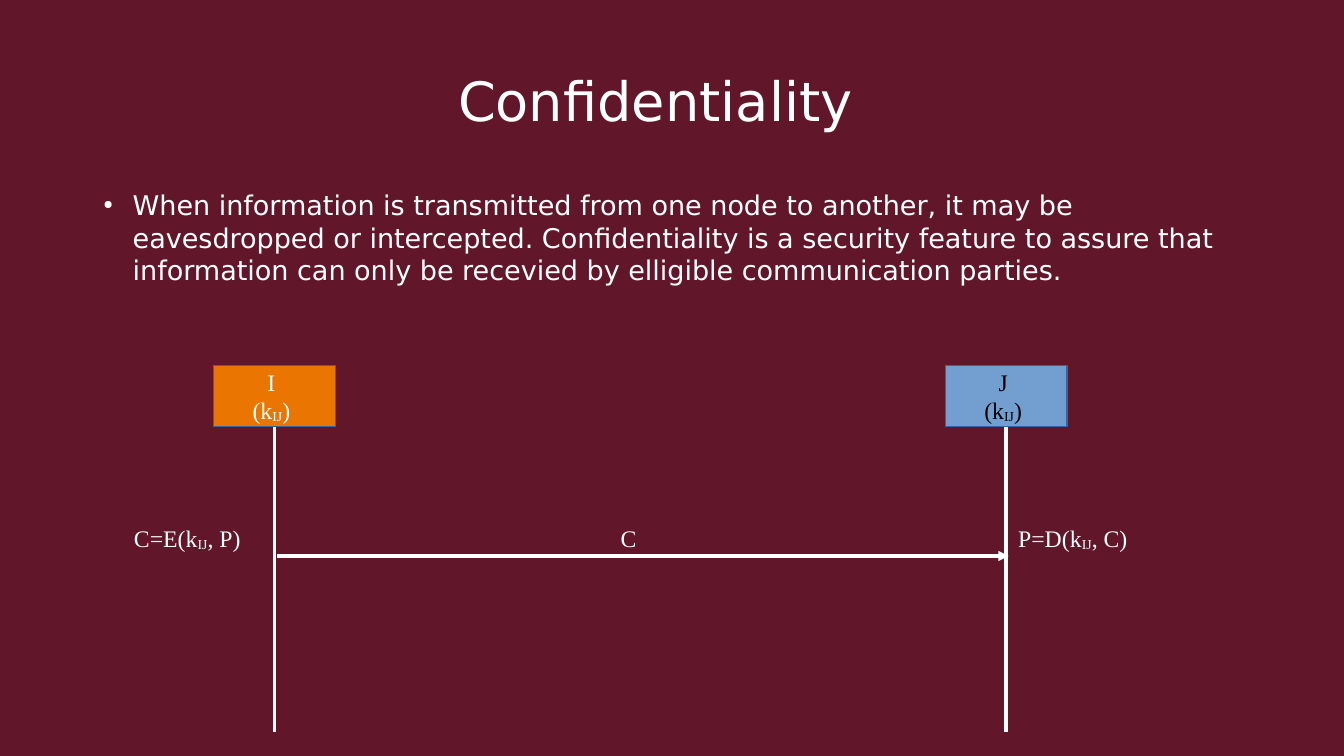
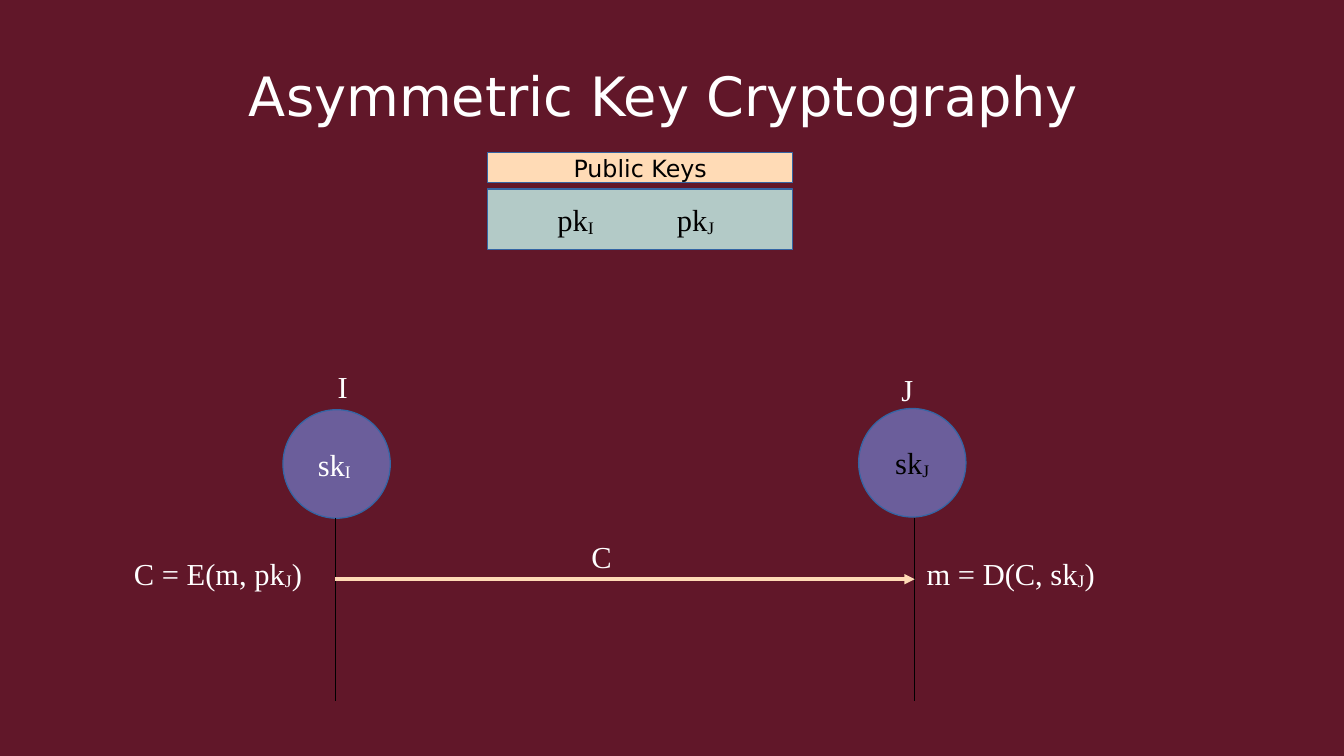
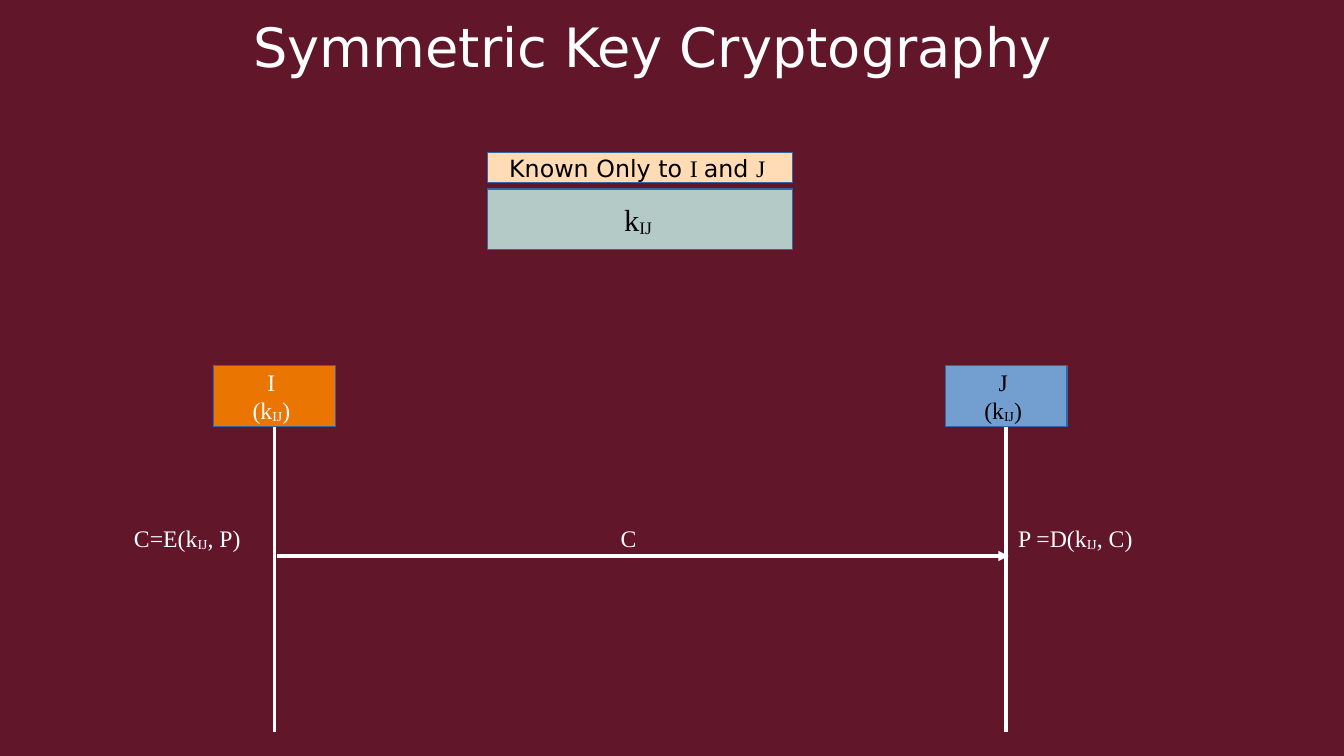
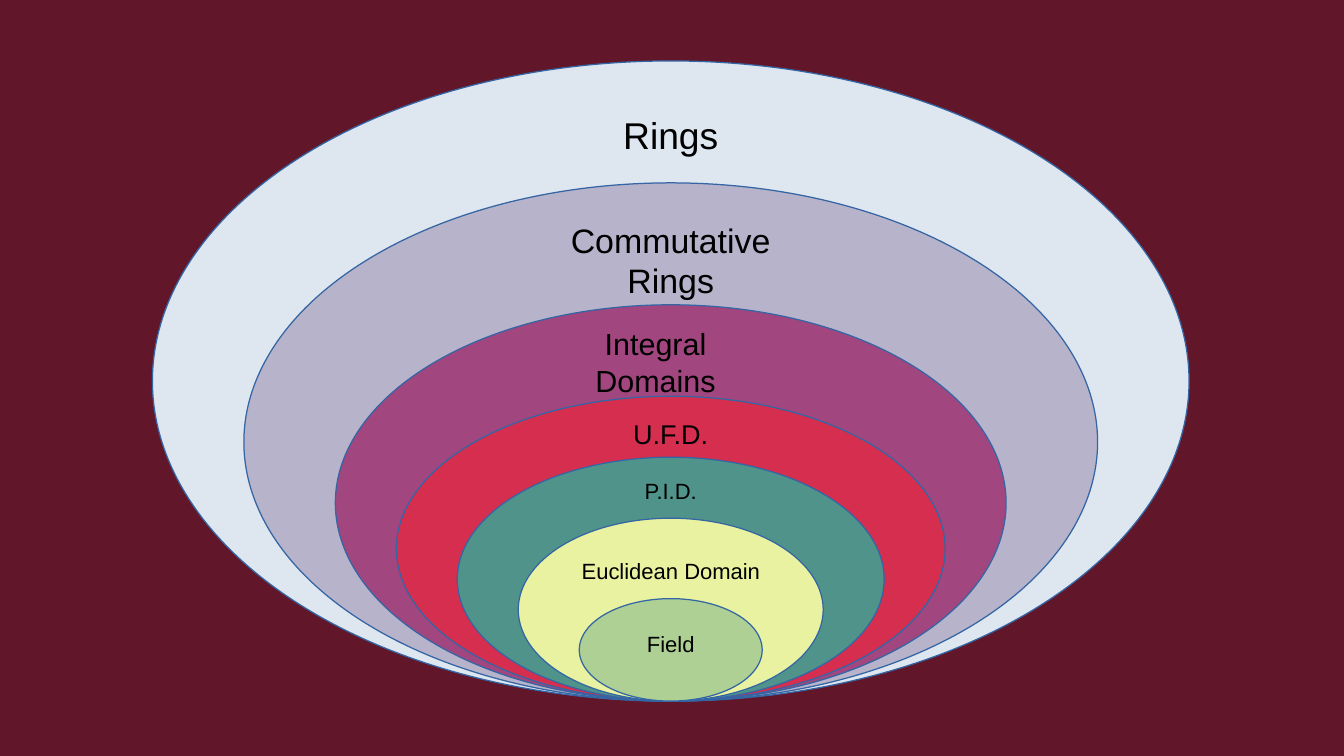
import dataclasses
from typing import Optional

import pptx
import pptx.dml.color
import pptx.enum.shapes
import pptx.enum.text
import pptx.oxml.ns
import pptx.oxml.xmlchemy
import pptx.util
from lxml import etree

EMU_PER_PX = 9144
SLIDE_WIDTH, SLIDE_HEIGHT = 1102, 620
SANS, SERIF, ARIAL = "DejaVu Sans", "Times New Roman", "Arial"
COLORS = {
    "background": "611729",
    "white": "FFFFFF",
    "black": "000000",
    "outline": "3465A4",
    "orange": "EA7500",
    "blue": "729FCF",
    "peach": "FFDBB6",
    "sage": "B3CAC7",
    "violet": "6B5E9B",
    "mist": "DEE6EF",
    "lavender": "B7B3CA",
    "plum": "A1467E",
    "red": "D62E4E",
    "teal": "50938A",
    "lemon": "E8F2A1",
    "green": "AFD095",
}
ALIGN = pptx.enum.text.PP_ALIGN
SHAPES = pptx.enum.shapes.MSO_SHAPE


@dataclasses.dataclass(frozen=True)
class Box:
    left: int
    top: int
    width: int
    height: int

    def emu(self) -> list[int]:
        return [px(length) for length in dataclasses.astuple(self)]


@dataclasses.dataclass(frozen=True)
class TextStyle:
    size: int
    font: str = SERIF
    color: str = "white"
    align: ALIGN = ALIGN.LEFT
    accent_font: Optional[str] = None


@dataclasses.dataclass(frozen=True)
class Party:
    name: str
    left: int
    fill: str
    text_color: str


@dataclasses.dataclass(frozen=True)
class Ring:
    label: str
    width: int
    height: int
    fill: str
    size: int
    label_box: Box


TITLE = TextStyle(32, SANS, align=ALIGN.CENTER)
BODY = TextStyle(16, SANS)
SMALL_FORMULA = TextStyle(14)
FORMULA = TextStyle(18)
CENTERED_FORMULA = TextStyle(18, align=ALIGN.CENTER)
KEY_HEADER = TextStyle(14, SANS, "black", ALIGN.CENTER, SERIF)
KEY_LIST = TextStyle(18, color="black")
KEY_VALUE = TextStyle(18, color="black", align=ALIGN.CENTER)

PARTIES = [
    Party("I", 175, "orange", "white"),
    Party("J", 775, "blue", "black"),
]
RINGS = [
    Ring("Rings", 850, 525, "mist", 22, Box(500, 87, 100, 44)),
    Ring("Commutative Rings", 700, 425, "lavender", 20, Box(450, 175, 200, 72)),
    Ring("Integral Domains", 550, 325, "plum", 18, Box(475, 262, 125, 66)),
    Ring("U.F.D.", 450, 250, "red", 16, Box(500, 337, 100, 38)),
    Ring("P.I.D.", 350, 200, "teal", 13, Box(500, 387, 100, 38)),
    Ring("Euclidean Domain", 250, 150, "lemon", 13, Box(450, 452, 200, 30)),
    Ring("Field", 150, 84, "green", 13, Box(500, 512, 100, 38)),
]
RING_CENTER, RING_BOTTOM = 550, 575


def px(length: int) -> int:
    return pptx.util.Emu(length * EMU_PER_PX)


def rgb(name: str) -> pptx.dml.color.RGBColor:
    return pptx.dml.color.RGBColor.from_string(COLORS[name])


def add_element(parent: etree._Element, tag: str, **attributes: str) -> etree._Element:
    return etree.SubElement(parent, pptx.oxml.ns.qn(tag), attributes)


def write_text(frame, text: str, style: TextStyle) -> None:
    frame.word_wrap = True
    frame.text = text.replace("_", "")
    for paragraph, line in zip(frame.paragraphs, text.split("\n")):
        paragraph.text = ""
        paragraph.alignment = style.align
        for index, part in enumerate(line.split("_")):
            if not part:
                continue
            accented = index % 2 == 1
            run = paragraph.add_run()
            run.text = part
            run.font.size = pptx.util.Pt(style.size)
            run.font.name = style.font
            run.font.color.rgb = rgb(style.color)
            if accented and style.accent_font:
                run.font.name = style.accent_font
            elif accented:
                run.font._element.set("baseline", "-8000")


def add_text(slide, box: Box, text: str, style: TextStyle):
    frame = slide.shapes.add_textbox(*box.emu()).text_frame
    write_text(frame, text, style)
    return frame


def add_title(slide, left: int, top: int, text: str) -> None:
    add_text(slide, Box(left, top, 875, 62), text, TITLE)


def add_filled(slide, kind: SHAPES, box: Box, fill: str):
    shape = slide.shapes.add_shape(kind, *box.emu())
    shape.shadow.inherit = False
    shape.fill.solid()
    shape.fill.fore_color.rgb = rgb(fill)
    shape.line.color.rgb = rgb("outline")
    shape.line.width = 0
    shape.text_frame.vertical_anchor = pptx.enum.text.MSO_ANCHOR.MIDDLE
    return shape


def add_line(slide, start: tuple[int, int], end: tuple[int, int], color: str,
             width: float = 0, arrow: bool = False):
    connector = slide.shapes.add_connector(
        pptx.enum.shapes.MSO_CONNECTOR.STRAIGHT,
        *[px(length) for length in (*start, *end)],
    )
    connector.line.color.rgb = rgb(color)
    connector.line.width = pptx.util.Pt(width)
    if arrow:
        add_element(connector.line._get_or_add_ln(), "a:tailEnd", type="triangle")
    add_element(connector._element.spPr, "a:effectLst")
    return connector


def add_bullet(paragraph) -> None:
    properties = paragraph._p.get_or_add_pPr()
    properties.set("marL", str(px(24)))
    properties.set("indent", str(px(-24)))
    color = add_element(properties, "a:buClr")
    add_element(color, "a:srgbClr", val=COLORS["white"])
    add_element(properties, "a:buSzPct", val="45000")
    add_element(properties, "a:buChar", char="●")


def add_key_panel(slide, header: str):
    header_shape = add_filled(slide, SHAPES.RECTANGLE, Box(400, 125, 250, 25), "peach")
    write_text(header_shape.text_frame, header, KEY_HEADER)
    return add_filled(slide, SHAPES.RECTANGLE, Box(400, 155, 250, 50), "sage").text_frame


def add_symmetric_exchange(slide, decryption: str) -> None:
    for party in PARTIES:
        shape = add_filled(slide, SHAPES.RECTANGLE, Box(party.left, 300, 100, 50), party.fill)
        style = TextStyle(14, color=party.text_color, align=ALIGN.CENTER)
        write_text(shape.text_frame, f"{party.name} \n(k_IJ_) ", style)
        middle = party.left + 50
        lifeline = add_line(slide, (middle, 350), (middle, 600), "white")
        lifeline.begin_connect(shape, 2)
    add_line(slide, (227, 456), (827, 456), "white", arrow=True)
    for left, label in ((100, "C=E(k_IJ_, P)"), (499, "C"), (825, decryption)):
        add_text(slide, Box(left, 425, 125, 36), label, SMALL_FORMULA)


def build_confidentiality(slide) -> None:
    add_title(slide, 100, 50, "Confidentiality")
    frame = add_text(
        slide, Box(75, 150, 950, 90),
        "When information is transmitted from one node to another, it may be "
        "eavesdropped or intercepted. Confidentiality is a security feature to "
        "assure that information can only be recevied by elligible "
        "communication parties.",
        BODY,
    )
    add_bullet(frame.paragraphs[0])
    add_symmetric_exchange(slide, "P=D(k_IJ_, C)")


def build_asymmetric(slide) -> None:
    add_title(slide, 107, 46, "Asymmetric Key Cryptography")
    keys = add_key_panel(slide, "Public Keys")
    keys.margin_left = px(57)
    write_text(keys, "pk_I_\tpk_J_", KEY_LIST)
    tabs = add_element(keys.paragraphs[0]._p.get_or_add_pPr(), "a:tabLst")
    add_element(tabs, "a:tab", pos=str(px(98)), algn="l")

    for name, left, top, lifeline, secret, color in (
        ("I", 232, 336, 275, "sk_I _", "white"),
        ("J", 704, 335, 750, "sk_J_", "black"),
    ):
        circle = add_filled(slide, SHAPES.OVAL, Box(left, top, 88, 89), "violet")
        write_text(circle.text_frame, secret,
                   TextStyle(18, color=color, align=ALIGN.CENTER))
        add_line(slide, (lifeline, 425), (lifeline, 575), "black", 0.79)
    add_text(slide, Box(262, 297, 38, 44), "I", CENTERED_FORMULA)
    add_text(slide, Box(725, 299, 38, 44), "J", CENTERED_FORMULA)
    add_line(slide, (275, 475), (750, 475), "peach", arrow=True)
    add_text(slide, Box(100, 450, 175, 50), "C = E(m, pk_J_)", FORMULA)
    add_text(slide, Box(475, 436, 50, 44), "C", FORMULA)
    add_text(slide, Box(750, 450, 175, 50), "m = D(C, sk_J_)", FORMULA)


def build_symmetric(slide) -> None:
    add_title(slide, 98, 6, "Symmetric Key Cryptography")
    add_symmetric_exchange(slide, "P =D(k_IJ_, C)")
    key = add_key_panel(slide, "Known Only to _I _and _J _")
    write_text(key, "k_IJ _", KEY_VALUE)


def build_rings(slide) -> None:
    for ring in RINGS:
        box = Box(RING_CENTER - ring.width // 2, RING_BOTTOM - ring.height,
                  ring.width, ring.height)
        add_filled(slide, SHAPES.OVAL, box, ring.fill)
    for ring in RINGS:
        style = TextStyle(ring.size, ARIAL, "black", ALIGN.CENTER)
        add_text(slide, ring.label_box, ring.label, style)


def main() -> None:
    presentation = pptx.Presentation()
    presentation.slide_width = px(SLIDE_WIDTH)
    presentation.slide_height = px(SLIDE_HEIGHT)
    background = presentation.slide_master.background.fill
    background.solid()
    background.fore_color.rgb = rgb("background")
    for build in (build_confidentiality, build_asymmetric, build_symmetric, build_rings):
        build(presentation.slides.add_slide(presentation.slide_layouts[6]))
    presentation.save("out.pptx")


if __name__ == "__main__":
    main()
